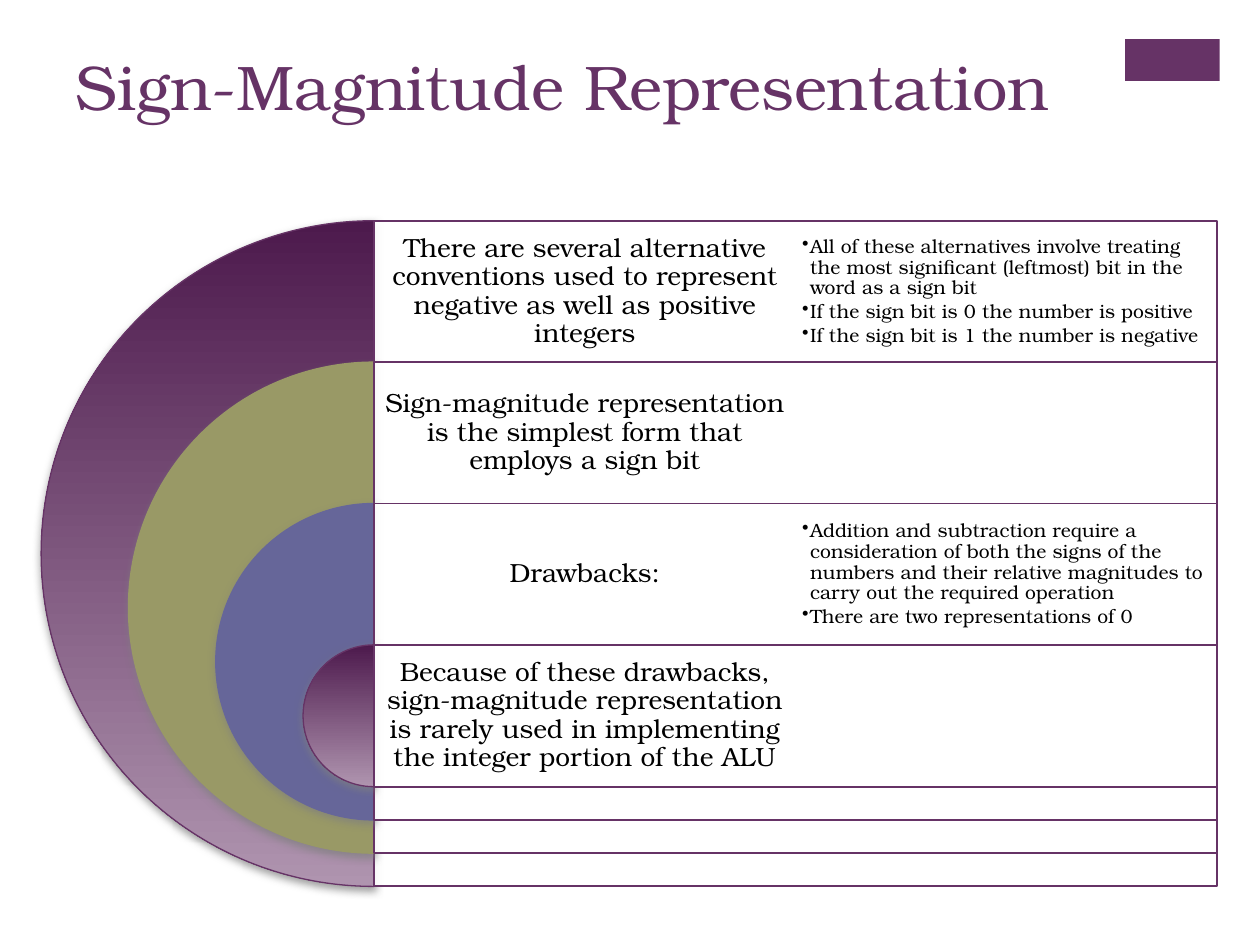
import pptx
import pptx.util
import pptx.dml.color
import pptx.enum.shapes
import pptx.enum.text
import pptx.oxml
import pptx.oxml.ns
from pptx.util import Cm, Pt

# Content
TITLE = "Sign-Magnitude Representation"
GRADIENT = ("4D1A4D", "AF94AF")
PURPLE = "663366"
FONT = "TeX Gyre Bonum"
# Each ring: fill, outline, statement, details
RINGS = [
    (GRADIENT, PURPLE,
     "There are several alternative conventions used to represent negative "
     "as well as positive integers",
     ["All of these alternatives involve treating the most significant "
      "(leftmost) bit in the word as a sign bit",
      "If the sign bit is 0 the number is positive",
      "If the sign bit is 1 the number is negative"]),
    ("999966", "999966",
     "Sign-magnitude representation is the simplest form that employs a sign bit",
     []),
    ("666699", "666699",
     "Drawbacks:",
     ["Addition and subtraction require a consideration of both the signs of "
      "the numbers and their relative magnitudes to carry out the required "
      "operation",
      "There are two representations of 0"]),
    (GRADIENT, PURPLE,
     "Because of these drawbacks, sign-magnitude representation is rarely used "
     "in implementing the integer portion of the ALU",
     []),
]

# Layout in cm: rings share a vertical axis, where the panels begin
AXIS, TOP, ROW = 7.54, 4.45, 2.85
DIAMETER, SHRINK = 13.42, 3.52
PANEL_WIDTH = 17
COLUMN = PANEL_WIDTH / 2

SHAPES = pptx.enum.shapes.MSO_SHAPE
ALIGN = pptx.enum.text.PP_ALIGN
ANCHOR = pptx.enum.text.MSO_ANCHOR
NS = pptx.oxml.ns.nsdecls("a")


def color(hex_value):
    return pptx.dml.color.RGBColor.from_string(hex_value)


def add_block(slide, preset, box, fill, outline=None, weight=1):
    block = slide.shapes.add_shape(preset, *[Cm(v) for v in box])
    block.shadow.inherit = False
    if isinstance(fill, tuple):
        block.fill.gradient()
        block.fill.gradient_angle = 270
        for stop, shade in zip(block.fill.gradient_stops, fill):
            stop.color.rgb = color(shade)
    else:
        block.fill.solid()
        block.fill.fore_color.rgb = color(fill)
    if outline:
        block.line.color.rgb = color(outline)
        block.line.width = Pt(weight)
    else:
        block.line.fill.background()
    return block


def add_ring(slide, box, fill, outline):
    ring = add_block(slide, SHAPES.PIE, box, fill, outline, 0.75)
    ring.adjustments[0] = 54   # 90 degrees
    ring.adjustments[1] = 162  # 270 degrees
    effects = ring._element.spPr.find(pptx.oxml.ns.qn("a:effectLst"))
    effects.append(pptx.oxml.parse_xml(
        f'<a:outerShdw {NS} blurRad="{Pt(5)}" dist="{Pt(2)}" dir="5400000" '
        'rotWithShape="0"><a:srgbClr val="808080"><a:alpha val="75000"/>'
        '</a:srgbClr></a:outerShdw>'))


def add_panel(slide, box):
    panel = add_block(slide, SHAPES.RECTANGLE, box, "FFFFFF", PURPLE)
    white = panel._element.spPr.find(
        pptx.oxml.ns.qn("a:solidFill")).find(pptx.oxml.ns.qn("a:srgbClr"))
    white.append(pptx.oxml.parse_xml(f'<a:alpha {NS} val="90000"/>'))


def style_runs(paragraph, size, hex_value):
    for run in paragraph.runs:
        run.font.name = FONT
        run.font.size = Pt(size)
        run.font.color.rgb = color(hex_value)


def add_text(slide, left, top, lines, size, inset, gap, bulleted=False):
    frame = slide.shapes.add_textbox(
        Cm(left), Cm(top), Cm(COLUMN), Cm(ROW)).text_frame
    frame.word_wrap = True
    frame.vertical_anchor = ANCHOR.MIDDLE
    frame.margin_left = frame.margin_right = Cm(inset)
    frame.margin_top = frame.margin_bottom = Cm(inset)
    frame.text = "\n".join(lines)
    for paragraph in frame.paragraphs:
        paragraph.alignment = ALIGN.LEFT if bulleted else ALIGN.CENTER
        paragraph.line_spacing = 0.9
        paragraph.space_after = Pt(size * gap)
        style_runs(paragraph, size, "000000")
        if bulleted:
            paragraph.level = 1
            properties = paragraph._p.get_or_add_pPr()
            properties.set("marL", str(Cm(0.16)))
            properties.set("indent", str(-Cm(0.16)))
            properties.append(pptx.oxml.parse_xml(f'<a:buChar {NS} char="•"/>'))


def main():
    deck = pptx.Presentation()
    deck.slide_width, deck.slide_height = Cm(25.4), Cm(19.05)
    slide = deck.slides.add_slide(deck.slide_layouts[5])

    # Corner tab and title
    add_block(slide, SHAPES.RECTANGLE, (22.68, 0.79, 1.91, 0.84), PURPLE)
    title = slide.shapes.title
    title.left, title.top = Cm(1.27), Cm(0.84)
    title.width, title.height = Cm(20.98), Cm(3.1)
    title.text_frame.text = TITLE
    title.text_frame.vertical_anchor = ANCHOR.TOP
    title.text_frame.paragraphs[0].alignment = ALIGN.LEFT
    style_runs(title.text_frame.paragraphs[0], 36, PURPLE)

    # Nested half rings, each with its panel and text
    for index, (fill, outline, statement, details) in enumerate(RINGS):
        top = TOP + index * ROW
        diameter = DIAMETER - index * SHRINK
        add_ring(slide, (AXIS - diameter / 2, top, diameter, diameter),
                 fill, outline)
        add_panel(slide, (AXIS, top, PANEL_WIDTH, diameter))
        add_text(slide, AXIS, top, [statement], 15, 0.15, 0.35)
        if details:
            add_text(slide, AXIS + COLUMN, top, details, 11, 0.13, 0.15,
                     bulleted=True)

    deck.save("out.pptx")


if __name__ == "__main__":
    main()
